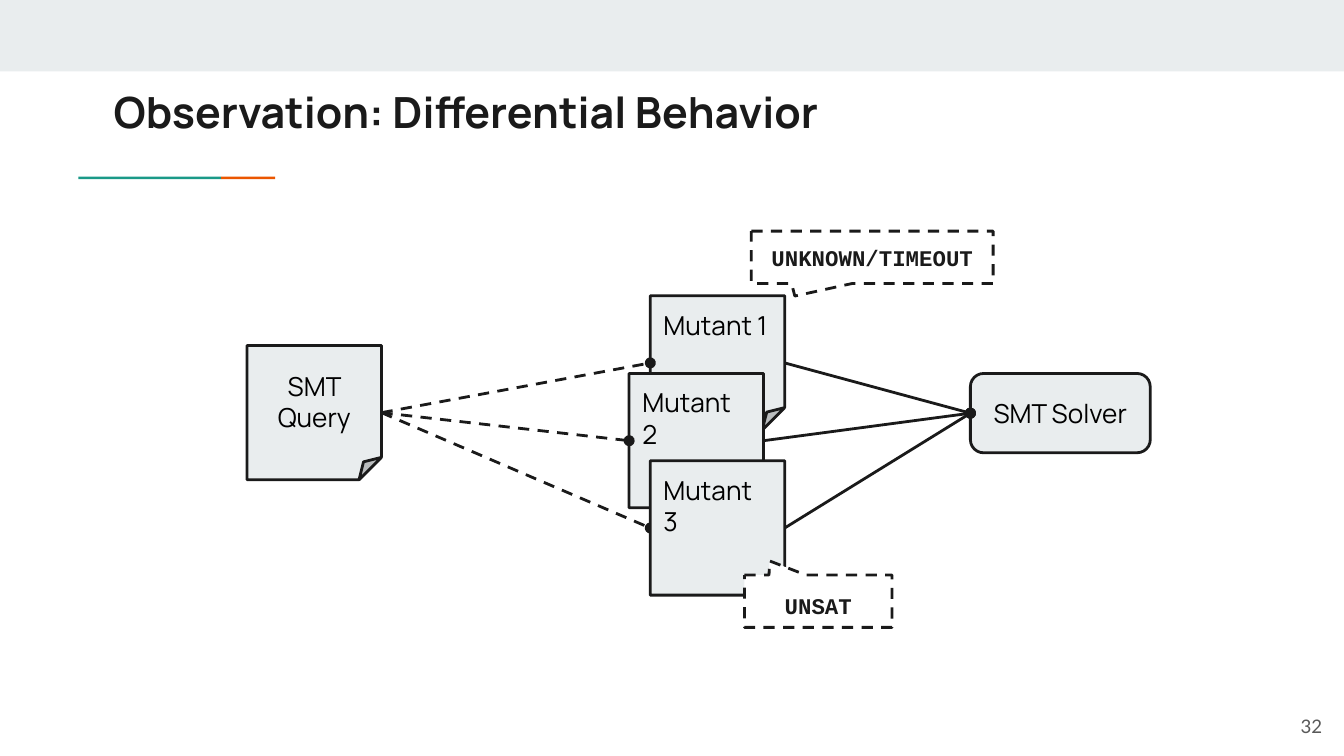
import pptx
import pptx.util
import pptx.dml.color
import pptx.enum.dml
import pptx.enum.shapes
import pptx.enum.text
import pptx.oxml

Cm, Pt = pptx.util.Cm, pptx.util.Pt
SHAPE = pptx.enum.shapes.MSO_SHAPE
ALIGN = pptx.enum.text.PP_ALIGN
ANCHOR = pptx.enum.text.MSO_ANCHOR

INK, PALE, WHITE, BLACK = "1A1A1A", "E9EDEE", "FFFFFF", "000000"
TOP, LEFT, RIGHT = 0, 1, 3  # connection sites
PAGE = 2.54  # side of a square page

# Content: boxes are left, top, width, height in cm
BANDS = [
    ((0, 0, 25.4, 1.35), PALE),
    ((1.48, 3.34, 2.7, 0.05), "1A9988"),
    ((4.18, 3.34, 1.02, 0.05), "EB5600"),
]
TITLE = ("Observation: Differential Behavior", (1.9, 1.37, 22.17, 2.13))
PAGE_NUMBER = ("32", (23.72, 13.18, 1.52, 1.09))
QUERY = ("SMT Query", (4.67, 6.53, PAGE, PAGE))
SOLVER = ("SMT Solver", (18.34, 7.06, 3.4, 1.5))
MUTANTS = [("Mutant 1", 12.29, 5.59), ("Mutant 2", 11.89, 7.06), ("Mutant 3", 12.29, 8.71)]
VERDICTS = [  # text, box, callout tip, line spacing
    ("UNSAT", (14.07, 10.87, 2.79, 0.99), (-0.33, -0.77), 1.15),
    ("UNKNOWN/TIMEOUT", (14.2, 4.37, 4.57, 0.99), (-0.32, 0.74), 1),
]


def rgb(value):
    return pptx.dml.color.RGBColor.from_string(value)


def set_line(line, dashed=False):
    line.color.rgb = rgb(INK)
    line.width = Pt(1.5)
    if dashed:
        line.dash_style = pptx.enum.dml.MSO_LINE.DASH


def write(shape, text, size, color, font="Manrope", bold=False,
          align=ALIGN.LEFT, anchor=ANCHOR.TOP):
    frame = shape.text_frame
    frame.text = text
    frame.word_wrap = True
    frame.vertical_anchor = anchor
    frame.margin_left = frame.margin_right = Cm(0.25)
    frame.margin_top = frame.margin_bottom = Cm(0.25)
    paragraph = frame.paragraphs[0]
    paragraph.alignment = align
    run_font = paragraph.runs[0].font
    run_font.name, run_font.size, run_font.bold = font, Pt(size), bold
    run_font.color.rgb = rgb(color)


def add_box(kind, box, fill, outlined=True, dashed=False):
    shape = slide.shapes.add_shape(kind, *map(Cm, box))
    shape.shadow.inherit = False
    shape.fill.solid()
    shape.fill.fore_color.rgb = rgb(fill)
    if outlined:
        set_line(shape.line, dashed)
    else:
        shape.line.fill.background()
    return shape


def connect(start, end, dashed=False):
    link = slide.shapes.add_connector(pptx.enum.shapes.MSO_CONNECTOR.STRAIGHT, 0, 0, 0, 0)
    link.begin_connect(start, RIGHT)
    link.end_connect(end, LEFT)
    set_line(link.line, dashed)
    tail = pptx.oxml.parse_xml(
        '<a:tailEnd xmlns:a="http://schemas.openxmlformats.org/drawingml/2006/main" type="oval"/>')
    link.line._get_or_add_ln().append(tail)
    properties = link._element.spPr
    properties.append(properties.makeelement(pptx.oxml.ns.qn("a:effectLst"), {}))


presentation = pptx.Presentation()
presentation.slide_width, presentation.slide_height = Cm(25.4), Cm(14.29)
slide = presentation.slides.add_slide(presentation.slide_layouts[6])

# Top band and accent rule
for box, fill in BANDS:
    add_box(SHAPE.RECTANGLE, box, fill, outlined=False)

# Title and page number
text, box = TITLE
write(slide.shapes.add_textbox(*map(Cm, box)), text, 23, INK, bold=True)
text, box = PAGE_NUMBER
write(slide.shapes.add_textbox(*map(Cm, box)), text, 10, "595959", "Lato",
      align=ALIGN.RIGHT, anchor=ANCHOR.MIDDLE)

# Query and solver
ends = []
for kind, (text, box) in [(SHAPE.FOLDED_CORNER, QUERY), (SHAPE.ROUNDED_RECTANGLE, SOLVER)]:
    end = add_box(kind, box, PALE)
    write(end, text, 14, BLACK, align=ALIGN.CENTER, anchor=ANCHOR.MIDDLE)
    ends.append(end)
query, solver = ends

# Mutants, each linked to the query and the solver
mutants = []
for text, left, top in MUTANTS:
    mutant = add_box(SHAPE.FOLDED_CORNER, (left, top, PAGE, PAGE), PALE)
    write(mutant, text, 14, BLACK)
    mutants.append(mutant)
for mutant in mutants:
    connect(query, mutant, dashed=True)
    connect(mutant, solver)
slide.shapes._spTree.append(mutants[-1]._element)  # last mutant covers its links

# Verdict callouts
for text, box, tip, spacing in VERDICTS:
    verdict = add_box(SHAPE.ROUNDED_RECTANGULAR_CALLOUT, box, WHITE, dashed=True)
    for index, value in enumerate((*tip, 0)):
        verdict.adjustments[index] = value
    write(verdict, text, 12, INK, "Courier New", bold=True, align=ALIGN.CENTER)
    verdict.text_frame.paragraphs[0].line_spacing = spacing

presentation.save("out.pptx")
